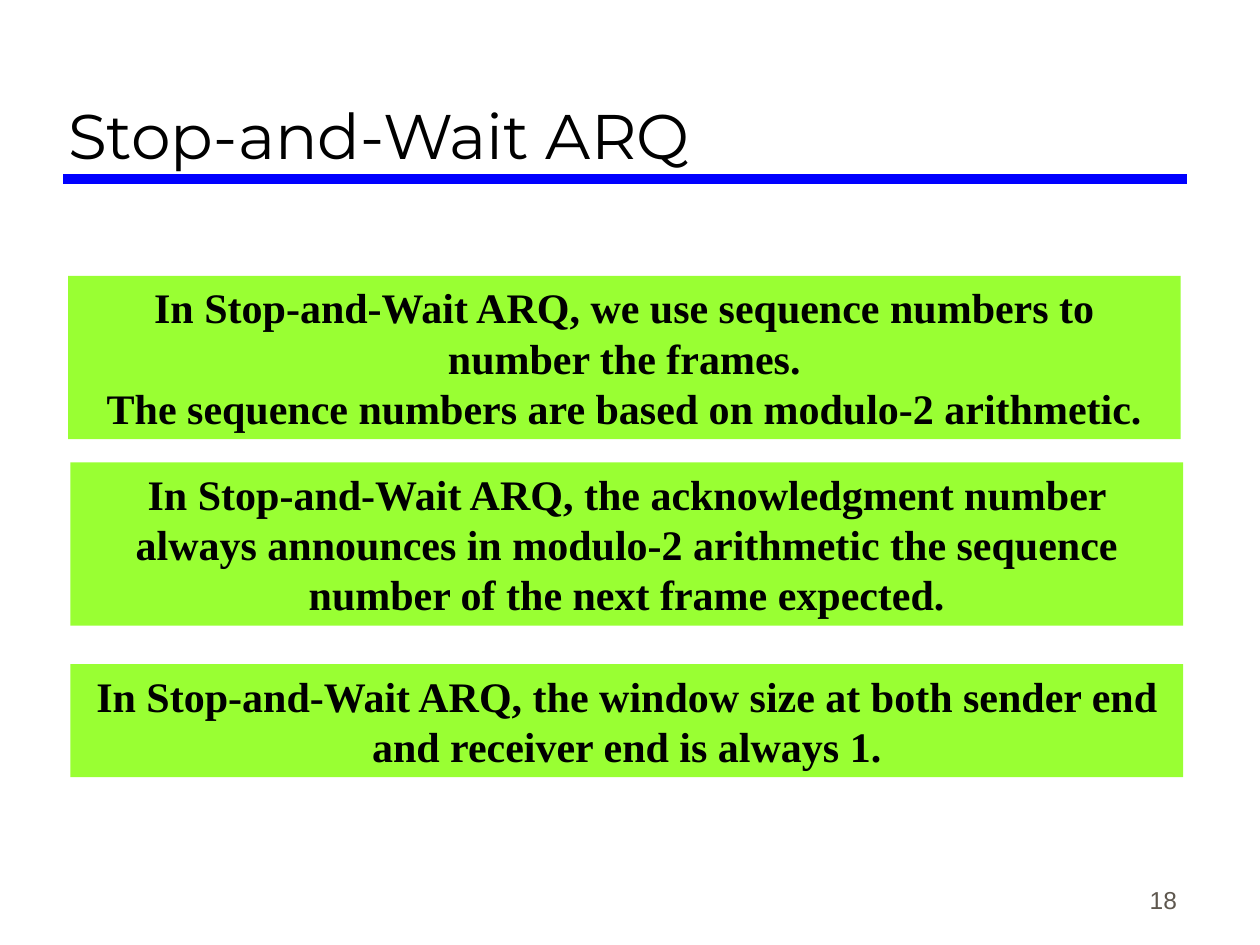
from dataclasses import dataclass

from pptx import Presentation
from pptx.dml.color import RGBColor
from pptx.enum.shapes import MSO_CONNECTOR as Connector, MSO_SHAPE as Shape
from pptx.enum.text import MSO_ANCHOR as Anchor, PP_ALIGN as Align
from pptx.oxml.ns import qn
from pptx.util import Inches, Pt
from lxml.etree import SubElement

NOTE_LEFT, NOTE_WIDTH = 0.56, 8.83
LINE_PITCH = 28.7  # points
TITLE_FORMAT = {"name": "Montserrat", "size": Pt(36), "bold": False}
NOTE_FORMAT = {"name": "Times New Roman", "size": Pt(24), "bold": True}
NUMBER_FORMAT = {"name": "Arial", "size": Pt(14), "bold": False}


@dataclass
class Note:
    top: float
    lines: int
    paragraphs: tuple[str, ...]
    left: float = NOTE_LEFT

    @property
    def height(self) -> float:
        return self.lines * LINE_PITCH / 72 + 0.1


NOTES = (
    Note(2.19, 3, ("In Stop-and-Wait ARQ, we use sequence numbers to number the frames.",
                   "The sequence numbers are based on modulo-2 arithmetic."), left=0.54),
    Note(3.67, 3, ("In Stop-and-Wait ARQ, the acknowledgment number always announces in "
                   "modulo-2 arithmetic the sequence number of the next frame expected.",)),
    Note(5.27, 2, ("In Stop-and-Wait ARQ, the window size at both sender end and "
                   "receiver end is always 1.",)),
)


def color(value: str) -> RGBColor:
    return RGBColor.from_string(value)


def place(box, left: float, top: float, width: float, height: float) -> None:
    box.left, box.top = Inches(left), Inches(top)
    box.width, box.height = Inches(width), Inches(height)


def write(frame, paragraphs, font_format, align, anchor, ink="000000", pitch=None) -> None:
    frame.word_wrap = True
    frame.vertical_anchor = anchor
    for index, text in enumerate(paragraphs):
        para = frame.paragraphs[0] if index == 0 else frame.add_paragraph()
        para.alignment = align
        para.line_spacing = pitch
        span = para.add_run()
        span.text = text
        for name, value in font_format.items():
            setattr(span.font, name, value)
        span.font.color.rgb = color(ink)


def add_rule(page) -> None:
    rule = page.shapes.add_connector(
        Connector.STRAIGHT, Inches(0.5), Inches(1.42), Inches(9.42), Inches(1.42))
    rule.line.color.rgb = color("0000FF")
    rule.line.width = Pt(6)
    SubElement(rule._element.spPr, qn("a:effectLst"))


def add_note(page, note: Note) -> None:
    box = page.shapes.add_shape(
        Shape.RECTANGLE, Inches(note.left), Inches(note.top),
        Inches(NOTE_WIDTH), Inches(note.height))
    box.shadow.inherit = False
    box.fill.solid()
    box.fill.fore_color.rgb = color("99FF33")
    box.line.fill.background()
    write(box.text_frame, note.paragraphs, NOTE_FORMAT, Align.CENTER, Anchor.TOP,
          pitch=Pt(LINE_PITCH))


def main() -> None:
    deck = Presentation()
    deck.slide_width, deck.slide_height = Inches(10), Inches(7.5)
    page = deck.slides.add_slide(deck.slide_layouts.get_by_name("Title Only"))
    add_rule(page)
    title = page.shapes.title
    place(title, 0.44, 0.17, 8.97, 1.25)
    write(title.text_frame, ["Stop-and-Wait ARQ"], TITLE_FORMAT, Align.LEFT, Anchor.BOTTOM)
    number = page.shapes.add_textbox(Inches(7.36), Inches(6.81), Inches(2.08), Inches(0.5))
    write(number.text_frame, ["18"], NUMBER_FORMAT, Align.RIGHT, Anchor.BOTTOM, ink="5E574E")
    for note in NOTES:
        add_note(page, note)
    deck.save("out.pptx")


if __name__ == "__main__":
    main()
